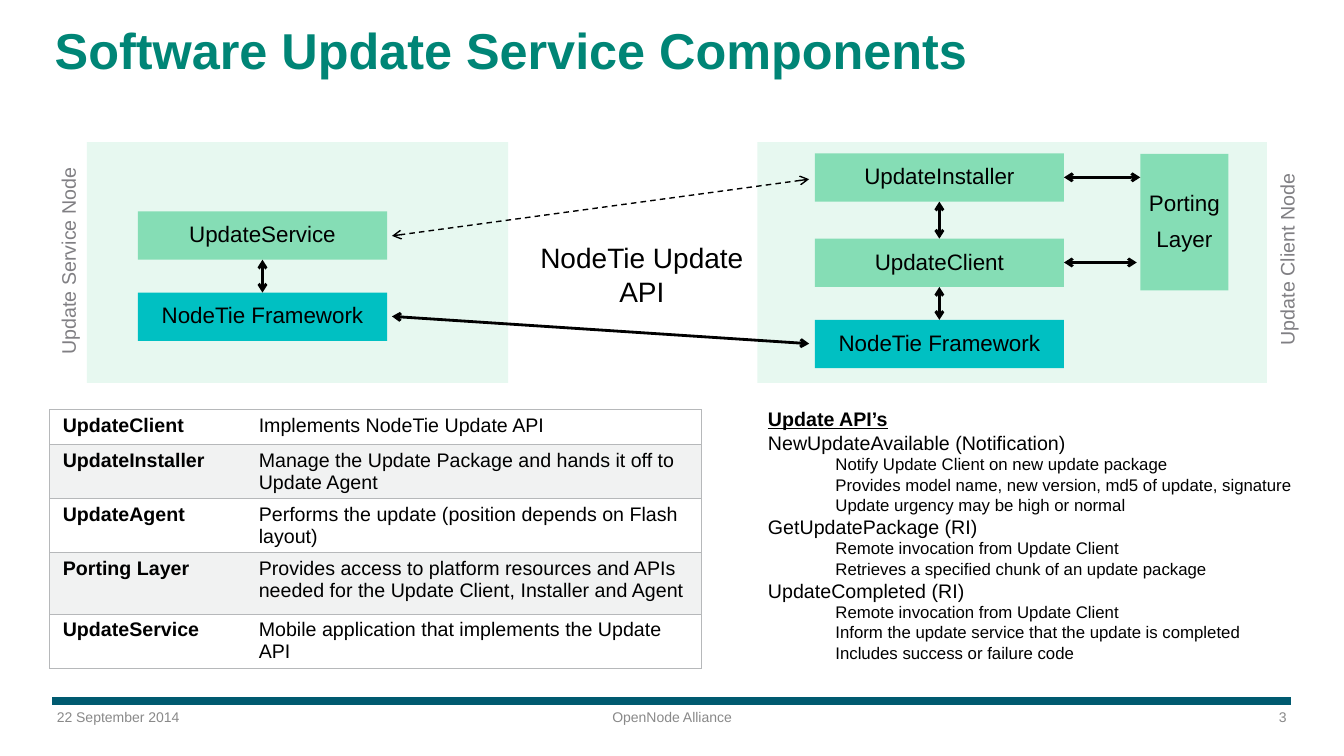
from dataclasses import dataclass

from lxml import etree
from pptx import Presentation
from pptx import util as u
from pptx.dml.color import RGBColor
from pptx.enum import dml, shapes, text
from pptx.oxml import ns
from pptx.slide import Slide

COLORS = {
    "title": "008576", "rule": "005A70", "footer": "898989", "side": "807F83",
    "panel": "E7F8F0", "component": "85DDB5", "framework": "00C0C2",
    "black": "000000", "white": "FFFFFF", "band": "F1F2F2", "border": "B6B8BA",
}
BOX_WIDTH, BOX_HEIGHT = 178, 34.5
LEFT_X, RIGHT_X = 98.5, 582
LEFT, CENTER, RIGHT = text.PP_ALIGN.LEFT, text.PP_ALIGN.CENTER, text.PP_ALIGN.RIGHT


@dataclass
class Block:
    left: float
    top: float
    width: float
    height: float
    color: str
    label: str = ""


@dataclass
class Label:
    words: str
    left: float
    top: float
    width: float
    height: float
    size: float
    color: str
    align: text.PP_ALIGN = LEFT
    bold: bool = False
    inset: float = 3.6
    rotation: float = 0
    wrap: bool = True
    spacing: float = 1


@dataclass
class Link:
    x1: float
    y1: float
    x2: float
    y2: float
    width: float = 2
    dashed: bool = False


def component(left: float, top: float, label: str, color: str = "component") -> Block:
    return Block(left, top, BOX_WIDTH, BOX_HEIGHT, color, label)


PANELS = [Block(62, 101.5, 301, 172, "panel"), Block(541, 101.5, 364, 172, "panel")]
SERVICE_STACK = [
    component(LEFT_X, 151, "UpdateService"),
    component(LEFT_X, 209, "NodeTie Framework", "framework"),
]
CLIENT_STACK = [
    component(RIGHT_X, 109.5, "UpdateInstaller"),
    component(RIGHT_X, 170.5, "UpdateClient"),
    component(RIGHT_X, 228.5, "NodeTie Framework", "framework"),
]
PORTING_LAYER = Block(814.5, 110, 63, 97.5, "component", "Porting\nLayer")
LINKS = [
    Link(578, 245.5, 280, 226),
    Link(578, 128, 280, 168.5, 1, True),
    Link(814.5, 126.7, 760, 126.7),
    Link(812, 187.5, 760, 187.5),
]
LABELS = [
    Label("Software Update Service Components", 35.5, 13.5, 885, 79, 36, "title",
          bold=True, spacing=0.95),
    Label("NodeTie Update API", 375, 168.5, 167, 56, 20, "black", CENTER, inset=7.2),
    Label("Update Service Node", -25, 174, 148, 24.5, 14, "side",
          inset=7.2, rotation=270, wrap=False),
    Label("Update Client Node", 850.5, 172.5, 138, 24.5, 14, "side",
          inset=7.2, rotation=270, wrap=False),
    Label("22 September 2014", 37, 502.5, 237, 19.5, 10, "footer"),
    Label("OpenNode Alliance", 361.5, 502.5, 237, 19.5, 10, "footer", CENTER),
    Label("3", 685.5, 502.5, 237, 19.5, 10, "footer", RIGHT),
]
ROLES = [
    ("UpdateClient", "Implements NodeTie Update API", 25.2),
    ("UpdateInstaller", "Manage the Update Package and hands it off to Update Agent", 38.5),
    ("UpdateAgent", "Performs the update (position depends on Flash layout)", 38.5),
    ("Porting Layer", "Provides access to platform resources and APIs needed for the "
                      "Update Client, Installer and Agent", 44),
    ("UpdateService", "Mobile application that implements the Update API", 39),
]
API_CALLS = {
    "NewUpdateAvailable (Notification)": [
        "Notify Update Client on new update package",
        "Provides model name, new version, md5 of update, signature",
        "Update urgency may be high or normal"],
    "GetUpdatePackage (RI)": [
        "Remote invocation from Update Client",
        "Retrieves a specified chunk of an update package"],
    "UpdateCompleted (RI)": [
        "Remote invocation from Update Client",
        "Inform the update service that the update is completed",
        "Includes success or failure code"],
}


def rgb(name: str) -> RGBColor:
    return RGBColor.from_string(COLORS[name])


def style(para, size: float, color: str = "black", bold: bool = False) -> None:
    for span in para.runs:
        span.font.name, span.font.size, span.font.bold = "Arial", u.Pt(size), bold
        span.font.color.rgb = rgb(color)


def draw_block(page: Slide, block: Block) -> None:
    box = page.shapes.add_shape(shapes.MSO_SHAPE.RECTANGLE, u.Pt(block.left), u.Pt(block.top),
                                u.Pt(block.width), u.Pt(block.height))
    box.shadow.inherit = False
    box.fill.solid()
    box.fill.fore_color.rgb = rgb(block.color)
    box.line.fill.background()
    if block.label:
        frame = box.text_frame
        frame.text, frame.word_wrap = block.label, False
        frame.vertical_anchor = text.MSO_ANCHOR.MIDDLE
        for index, para in enumerate(frame.paragraphs):
            para.alignment, para.line_spacing = CENTER, 0.9
            para.space_before = u.Pt(8.5 if index else 0)
            style(para, 16)


def draw_label(page: Slide, label: Label) -> None:
    box = page.shapes.add_textbox(u.Pt(label.left), u.Pt(label.top),
                                  u.Pt(label.width), u.Pt(label.height))
    box.rotation = label.rotation
    frame = box.text_frame
    frame.text, frame.word_wrap = label.words, label.wrap
    frame.margin_left = frame.margin_right = u.Pt(label.inset)
    frame.margin_top = frame.margin_bottom = u.Pt(3.6)
    para = frame.paragraphs[0]
    para.alignment, para.line_spacing = label.align, label.spacing
    style(para, label.size, label.color, label.bold)


def draw_link(page: Slide, link: Link, color: str = "black", arrows: bool = True) -> None:
    line = page.shapes.add_connector(shapes.MSO_CONNECTOR.STRAIGHT, u.Pt(link.x1), u.Pt(link.y1),
                                     u.Pt(link.x2), u.Pt(link.y2))
    line.line.color.rgb, line.line.width = rgb(color), u.Pt(link.width)
    if link.dashed:
        line.line.dash_style = dml.MSO_LINE.DASH
    if arrows:
        for end in ("a:headEnd", "a:tailEnd"):
            etree.SubElement(line.line._get_or_add_ln(), ns.qn(end), type="arrow")
    etree.SubElement(line._element.spPr, ns.qn("a:effectLst"))


def draw_stack(page: Slide, stack: list[Block]) -> None:
    for block in stack:
        draw_block(page, block)
    for upper, lower in zip(stack, stack[1:]):
        middle = upper.left + upper.width / 2
        draw_link(page, Link(middle, lower.top, middle, upper.top + upper.height))


def draw_borders(cell, open_side: str) -> None:
    properties = cell._tc.get_or_add_tcPr()
    for index, side in enumerate(("lnL", "lnR", "lnT", "lnB")):
        border = etree.Element(ns.qn(f"a:{side}"), w=str(u.Pt(0.75)))
        properties.insert(index, border)
        if side == open_side:
            etree.SubElement(border, ns.qn("a:noFill"))
        else:
            fill = etree.SubElement(border, ns.qn("a:solidFill"))
            etree.SubElement(fill, ns.qn("a:srgbClr"), val=COLORS["border"])


def draw_roles(page: Slide) -> None:
    height = sum(row[2] for row in ROLES)
    table = page.shapes.add_table(len(ROLES), 2, u.Pt(35.5), u.Pt(292.5),
                                  u.Pt(465.5), u.Pt(height)).table
    table.first_row = table.horz_banding = False
    table.columns[0].width, table.columns[1].width = u.Pt(140), u.Pt(325.5)
    for index, (name, duty, row_height) in enumerate(ROLES):
        table.rows[index].height = u.Pt(row_height)
        for column, words in enumerate((name, duty)):
            cell = table.cell(index, column)
            cell.text = words
            cell.margin_left = cell.margin_right = u.Pt(9.4)
            cell.margin_top, cell.margin_bottom = u.Pt(3.4), u.Pt(1)
            cell.fill.solid()
            cell.fill.fore_color.rgb = rgb("band" if index % 2 else "white")
            draw_borders(cell, "lnL" if column else "lnR")
            style(cell.text_frame.paragraphs[0], 14, bold=column == 0)


def draw_api_list(page: Slide) -> None:
    box = page.shapes.add_textbox(u.Pt(541.5), u.Pt(287.2), u.Pt(418), u.Pt(191.5))
    frame = box.text_frame
    frame.word_wrap = True
    heading = frame.paragraphs[0]
    heading.text = "Update API’s"
    style(heading, 14, bold=True)
    heading.runs[0].font.underline = True
    for call, details in API_CALLS.items():
        para = frame.add_paragraph()
        para.text = call
        style(para, 14)
        for detail in details:
            para = frame.add_paragraph()
            para.text, para.level = detail, 1
            para._p.get_or_add_pPr().set("marL", str(u.Pt(48.2)))
            style(para, 12)


def main() -> None:
    deck = Presentation()
    deck.slide_width, deck.slide_height = u.Pt(960), u.Pt(540)
    page = deck.slides.add_slide(deck.slide_layouts[6])

    # Footer rule and component diagram
    draw_link(page, Link(37.5, 500.5, 922.5, 500.5, 5.5), "rule", arrows=False)
    for block in [*PANELS, PORTING_LAYER]:
        draw_block(page, block)
    for stack in (SERVICE_STACK, CLIENT_STACK):
        draw_stack(page, stack)
    for link in LINKS:
        draw_link(page, link)

    # Title, side labels and footer
    for label in LABELS:
        draw_label(page, label)

    # Roles table and API list
    draw_roles(page)
    draw_api_list(page)
    deck.save("out.pptx")


if __name__ == "__main__":
    main()
